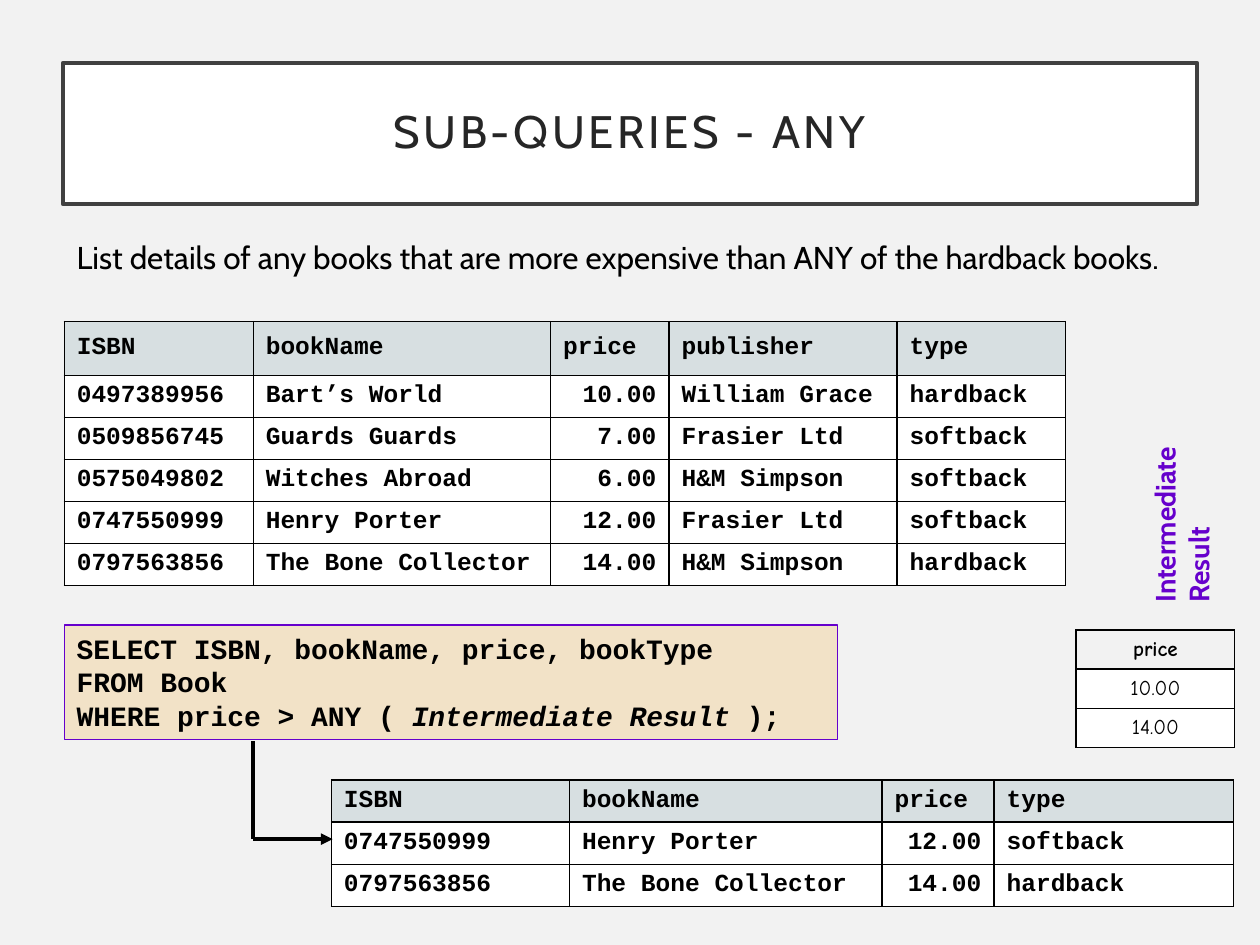
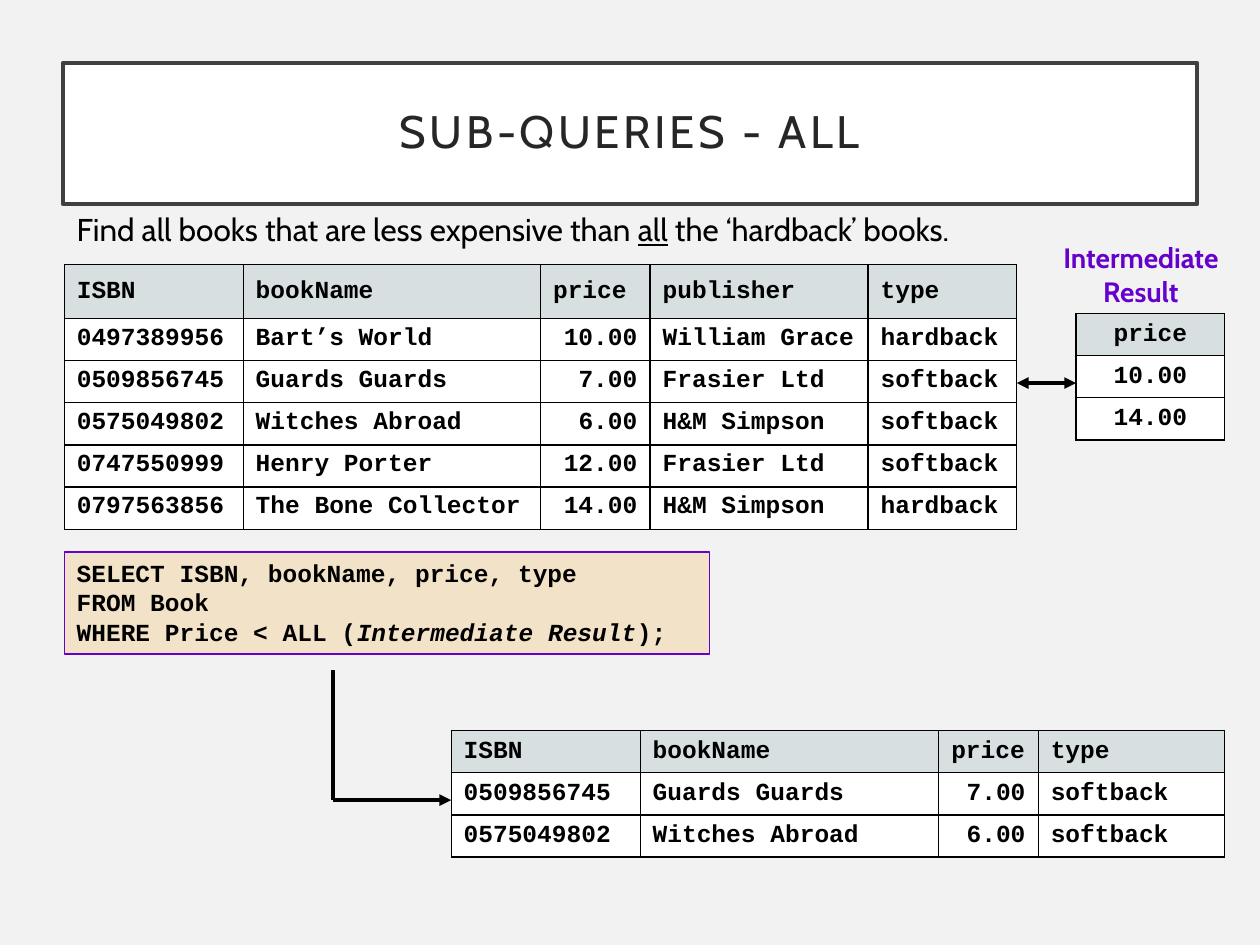
import pptx
import pptx.util
import pptx.dml.color
import pptx.enum.shapes
import pptx.enum.text
import pptx.oxml
import pptx.oxml.ns
from pptx.util import Inches, Pt
from pptx.oxml.ns import qn

RGBColor = pptx.dml.color.RGBColor
PP_ALIGN = pptx.enum.text.PP_ALIGN
MSO_ANCHOR = pptx.enum.text.MSO_ANCHOR

PAPER = RGBColor(0xF2, 0xF2, 0xF2)
WHITE = RGBColor(0xFF, 0xFF, 0xFF)
BLACK = RGBColor(0, 0, 0)
FRAME = RGBColor(0x40, 0x40, 0x40)
TITLE_INK = RGBColor(0x26, 0x26, 0x26)
HEADER = RGBColor(0xD7, 0xDF, 0xE1)
ORANGE = RGBColor(0xF6, 0xA2, 0x1D)
PURPLE = RGBColor(0x66, 0x00, 0xCC)

SANS = "Cabin"
MONO = "Courier New"
COMIC = "Comic Neue"
LEFT = 0.51

BOOKS = [
    ("ISBN", "bookName", "price", "publisher", "type"),
    ("0497389956", "Bart’s World", "10.00", "William Grace", "hardback"),
    ("0509856745", "Guards Guards", "7.00", "Frasier Ltd", "softback"),
    ("0575049802", "Witches Abroad", "6.00", "H&M Simpson", "softback"),
    ("0747550999", "Henry Porter", "12.00", "Frasier Ltd", "softback"),
    ("0797563856", "The Bone Collector", "14.00", "H&M Simpson", "hardback"),
]
HARDBACK_PRICES = [("price",), ("10.00",), ("14.00",)]


def pick_books(*isbns):
    return [(b[0], b[1], b[2], b[4]) for b in BOOKS if b[0] in ("ISBN",) + isbns]


def add_run(p, text, size, font, color=BLACK, bold=False, italic=False, underline=False):
    r = p.add_run()
    r.text = text
    r.font.size = Pt(size)
    r.font.name = font
    r.font.color.rgb = color
    r.font.bold = bold
    r.font.italic = italic
    r.font.underline = underline
    return r


def add_slide(prs, title):
    s = prs.slides.add_slide(prs.slide_layouts[5])
    sp = s.shapes.title
    sp.left, sp.top, sp.width, sp.height = map(Inches, (0.5, 0.5, 9, 1.12))
    sp.fill.solid()
    sp.fill.fore_color.rgb = WHITE
    sp.line.color.rgb = FRAME
    sp.line.width = Pt(2.5)
    tf = sp.text_frame
    tf.auto_size = pptx.enum.text.MSO_AUTO_SIZE.NONE
    tf.vertical_anchor = MSO_ANCHOR.MIDDLE
    tf.margin_left = tf.margin_right = tf.margin_top = tf.margin_bottom = Inches(0.2)
    p = tf.paragraphs[0]
    p.alignment = PP_ALIGN.CENTER
    p.line_spacing = 0.9
    r = add_run(p, title, 26, SANS, TITLE_INK)
    r.font._element.set("spc", "200")
    return s


def add_text(s, box, runs, size, color=BLACK, bold=False, align=PP_ALIGN.LEFT, vert=None):
    sp = s.shapes.add_textbox(*map(Inches, box))
    tf = sp.text_frame
    tf.word_wrap = True
    if vert:
        sp.element.find(".//" + qn("a:bodyPr")).set("vert", vert)
    p = tf.paragraphs[0]
    p.alignment = align
    for text, style in runs:
        add_run(p, text, size, SANS, color, bold, **style)


def add_intermediate_label(s, box, **kwargs):
    add_text(s, box, [("Intermediate Result", {})], 16, PURPLE, True, **kwargs)


def add_query(s, box, lines, size):
    sp = s.shapes.add_shape(pptx.enum.shapes.MSO_SHAPE.RECTANGLE, *map(Inches, box))
    sp.shadow.inherit = False
    sp.fill.solid()
    sp.fill.fore_color.rgb = ORANGE
    clr = sp.element.spPr.find(qn("a:solidFill")).find(qn("a:srgbClr"))
    pptx.oxml.ns.nsdecls("a")
    clr.append(pptx.oxml.parse_xml('<a:alpha %s val="20000"/>' % pptx.oxml.ns.nsdecls("a")))
    sp.line.color.rgb = PURPLE
    sp.line.width = Pt(0.75)
    tf = sp.text_frame
    tf.word_wrap = True
    tf.vertical_anchor = MSO_ANCHOR.TOP
    for i, line in enumerate(lines):
        p = tf.paragraphs[0] if i == 0 else tf.add_paragraph()
        p.alignment = PP_ALIGN.LEFT
        for text, style in line:
            add_run(p, text, size, MONO, bold=True, **style)


def add_borders(cell):
    tcPr = cell._tc.get_or_add_tcPr()
    for side in ("lnL", "lnR", "lnT", "lnB"):
        tcPr.append(pptx.oxml.parse_xml(
            '<a:%s %s w="9525"><a:solidFill><a:srgbClr val="%s"/></a:solidFill></a:%s>'
            % (side, pptx.oxml.ns.nsdecls("a"), BLACK, side)))


def add_grid(s, left, top, cols, row_heights, rows, font=MONO, size=14,
             header_fill=HEADER, body_bold=True, body_anchor=MSO_ANCHOR.MIDDLE):
    frame = s.shapes.add_table(len(rows), len(cols), Inches(left), Inches(top),
                               Inches(sum(cols)), Inches(sum(row_heights)))
    table = frame.table
    table.first_row = table.horz_banding = False
    for col, width in zip(table.columns, cols):
        col.width = Inches(width)
    for row, height in zip(table.rows, row_heights):
        row.height = Inches(height)
    for i, values in enumerate(rows):
        for j, value in enumerate(values):
            cell = table.cell(i, j)
            add_borders(cell)
            fill = WHITE if i else header_fill
            if fill is None:
                cell.fill.background()
            else:
                cell.fill.solid()
                cell.fill.fore_color.rgb = fill
            cell.vertical_anchor = body_anchor if i else MSO_ANCHOR.MIDDLE
            p = cell.text_frame.paragraphs[0]
            if len(cols) == 1:
                p.alignment = PP_ALIGN.CENTER
            elif i and rows[0][j] == "price":
                p.alignment = PP_ALIGN.RIGHT
            add_run(p, value, size, font, bold=body_bold or i == 0)


def add_books(s, top, cols):
    add_grid(s, LEFT, top, cols, [0.43] + [0.33] * 5, BOOKS, body_anchor=MSO_ANCHOR.TOP)


def add_line(s, x1, y1, x2, y2, head=False, tail=False):
    c = s.shapes.add_connector(pptx.enum.shapes.MSO_CONNECTOR.STRAIGHT,
                               *map(Inches, (x1, y1, x2, y2)))
    c.line.color.rgb = BLACK
    c.line.width = Pt(2.25)
    ln = c.line._get_or_add_ln()
    for tag, wanted in (("headEnd", head), ("tailEnd", tail)):
        if wanted:
            ln.append(pptx.oxml.parse_xml(
                '<a:%s %s type="triangle"/>' % (tag, pptx.oxml.ns.nsdecls("a"))))
    c.element.spPr.append(pptx.oxml.parse_xml(
        "<a:effectLst %s/>" % pptx.oxml.ns.nsdecls("a")))


def add_elbow(s, x, top, y, right):
    add_line(s, x, y, right, y, tail=True)
    add_line(s, x, y, x, top)


def build_any(prs):
    s = add_slide(prs, "SUB-QUERIES - ANY")
    add_text(s, (LEFT, 1.84, 9.53, 0.4), [
        ("List details of any books that are more expensive than ANY of the hardback books.", {}),
    ], 18)
    add_books(s, 2.55, [1.5, 2.36, 0.94, 1.81, 1.34])
    add_query(s, (LEFT, 4.96, 6.14, 0.91), [
        [("SELECT ISBN, bookName, price, bookType", {})],
        [("FROM Book", {})],
        [("WHERE price > ANY ( ", {}), ("Intermediate Result", {"italic": True}), (" );", {})],
    ], 16)
    add_intermediate_label(s, (9.06, 3.03, 0.74, 1.85), vert="vert270")
    add_grid(s, 8.54, 5, [1.26], [0.31] * 3, HARDBACK_PRICES, COMIC, 12, None, False)
    add_grid(s, 2.63, 6.19, [1.89, 2.48, 0.89, 1.9], [0.32] * 3,
             pick_books("0747550999", "0797563856"))
    add_elbow(s, 2.01, 5.88, 6.66, 2.64)


def build_all(prs):
    s = add_slide(prs, "SUB-QUERIES - ALL")
    add_text(s, (LEFT, 1.62, 9.21, 0.4), [
        ("Find all books that are less expensive than ", {}),
        ("all", {"underline": True}),
        (" the ‘hardback’ books.", {}),
    ], 18)
    add_books(s, 2.1, [1.42, 2.36, 0.87, 1.73, 1.18])
    add_query(s, (LEFT, 4.38, 5.12, 0.81), [
        [("SELECT ISBN, bookName, price, type", {})],
        [("FROM Book", {})],
        [("WHERE Price < ALL (", {}), ("Intermediate Result", {"italic": True}), (");", {})],
    ], 14)
    add_intermediate_label(s, (8.11, 1.86, 1.89, 0.64), align=PP_ALIGN.CENTER)
    add_grid(s, 8.54, 2.49, [1.18], [0.33] * 3, HARDBACK_PRICES)
    add_line(s, 8.07, 3.04, 8.54, 3.04, head=True, tail=True)
    add_grid(s, 3.58, 5.8, [1.5, 2.37, 0.79, 1.48], [0.32] * 3,
             pick_books("0509856745", "0575049802"))
    add_elbow(s, 2.64, 5.32, 6.35, 3.58)


def main():
    prs = pptx.Presentation()
    prs.slide_width = Inches(10)
    prs.slide_height = Inches(7.5)
    fill = prs.slide_master.background.fill
    fill.solid()
    fill.fore_color.rgb = PAPER
    build_any(prs)
    build_all(prs)
    prs.save("out.pptx")


if __name__ == "__main__":
    main()
